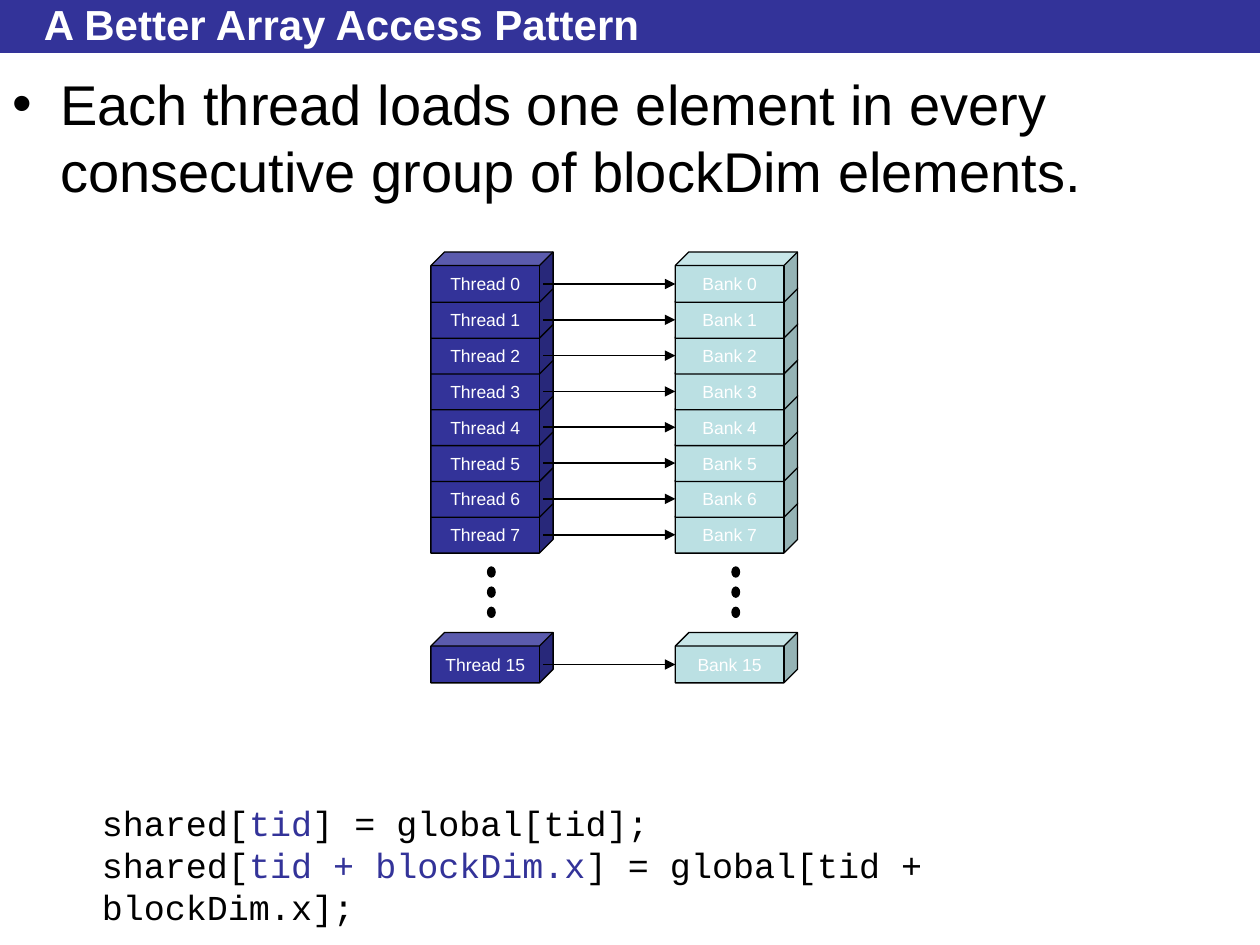
from pptx import Presentation
from pptx.dml.color import RGBColor
from pptx.enum.shapes import MSO_CONNECTOR as Connector, MSO_SHAPE as Shape
from pptx.enum.text import MSO_ANCHOR as Anchor, PP_ALIGN as Align
from pptx.oxml.ns import qn
from pptx.util import Inches, Pt
from lxml.etree import SubElement

COLORS = {"navy": "333399", "aqua": "BBE0E3", "black": "000000", "white": "FFFFFF"}


def color(name):
    return RGBColor.from_string(COLORS[name])


class Painter:
    """Holds the text style and the current slide."""

    style = {"name": "Arial", "size": Pt(10), "bold": False}

    def __init__(self, slide):
        self.slide = slide

    def shape(self, kind, left, top, width, height, fill, line=None):
        shape = self.slide.shapes.add_shape(
            kind, Inches(left), Inches(top), Inches(width), Inches(height))
        shape.shadow.inherit = False
        shape.fill.solid()
        shape.fill.fore_color.rgb = color(fill)
        if line:
            shape.line.color.rgb = color(line)
            shape.line.width = Pt(0.75)
        else:
            shape.line.fill.background()
        return shape

    def add_spans(self, para, spans, **style):
        """Add (text, color name) spans to a paragraph."""
        for text, ink in spans:
            span = para.add_run()
            span.text = text
            span.font.color.rgb = color(ink)
            for key, value in {**self.style, **style}.items():
                setattr(span.font, key, value)

    def text(self, left, top, width, height, lines, margin=0, indent=0,
             bullet=None, anchor=Anchor.TOP, wrap=True, **style):
        box = self.slide.shapes.add_textbox(
            Inches(left), Inches(top), Inches(width), Inches(height))
        frame = box.text_frame
        frame.word_wrap = wrap
        frame.vertical_anchor = anchor
        for number, spans in enumerate(lines):
            para = frame.add_paragraph() if number else frame.paragraphs[0]
            props = para._p.get_or_add_pPr()
            props.set("marL", str(Inches(margin)))
            props.set("indent", str(Inches(indent)))
            if bullet:
                SubElement(props, qn("a:buFont")).set("typeface", "Arial")
                SubElement(props, qn("a:buChar")).set("char", bullet)
            self.add_spans(para, spans, **style)

    def cube(self, left, top, label, fill):
        cube = self.shape(Shape.CUBE, left, top, CUBE_WIDTH, CUBE_HEIGHT, fill, "black")
        cube.adjustments[0] = CUBE_DEPTH
        frame = cube.text_frame
        frame.word_wrap = False
        frame.vertical_anchor = Anchor.MIDDLE
        para = frame.paragraphs[0]
        para.alignment = Align.CENTER
        self.add_spans(para, [(label, "white")])

    def arrow(self, left, right, y):
        arrow = self.slide.shapes.add_connector(
            Connector.STRAIGHT, Inches(left), Inches(y), Inches(right), Inches(y))
        arrow.line.color.rgb = color("black")
        arrow.line.width = Pt(1)
        SubElement(arrow.line._get_or_add_ln(), qn("a:tailEnd")).set("type", "triangle")
        SubElement(arrow._element.spPr, qn("a:effectLst"))


CUBE_WIDTH, CUBE_HEIGHT, CUBE_DEPTH = 0.97, 0.4, 0.27
THREAD_LEFT, BANK_LEFT = 3.42, 5.36
ROW_STEP = 1.99 / 7
ROW_TOPS = {row: 2 + row * ROW_STEP for row in range(8)}
ROW_TOPS[15] = 5.02

deck = Presentation()
deck.slide_width, deck.slide_height = Inches(10), Inches(7.5)
page = Painter(deck.slides.add_slide(deck.slide_layouts[6]))

# Title bar and statement
page.shape(Shape.RECTANGLE, 0, 0, 10, 0.42, "navy")
page.text(0.25, 0.05, 9.25, 0.28, [[("A Better Array Access Pattern", "white")]],
          anchor=Anchor.MIDDLE, size=Pt(24), bold=True)
page.text(0, 0.5, 10.42, 2.67,
          [[("Each thread loads one element in every consecutive group of "
             "blockDim elements.", "black")]],
          margin=0.38, indent=-0.38, bullet="•", size=Pt(32))

# Stacks of banks and threads, lowest cube first so that upper ones overlap it
for name, left, fill in (("Bank", BANK_LEFT, "aqua"), ("Thread", THREAD_LEFT, "navy")):
    for row, top in reversed(ROW_TOPS.items()):
        page.cube(left, top, f"{name} {row}", fill)
    for dot in range(3):
        page.shape(Shape.OVAL, left + 0.45, 4.5 + 0.16 * dot, 0.06, 0.08, "black", "black")

# Arrow from each thread to its bank, at the middle of the front faces
for top in ROW_TOPS.values():
    page.arrow(4.31, BANK_LEFT, top + CUBE_HEIGHT * (1 + CUBE_DEPTH) / 2)

# Code
page.text(0.21, 6.31, 9.38, 1.44,
          [[("shared[", "black"), (index, "navy"), (f"] = global[{index}];", "black")]
           for index in ("tid", "tid + blockDim.x")],
          margin=0.5, wrap=False, name="Courier New", size=Pt(20))

deck.save("out.pptx")
